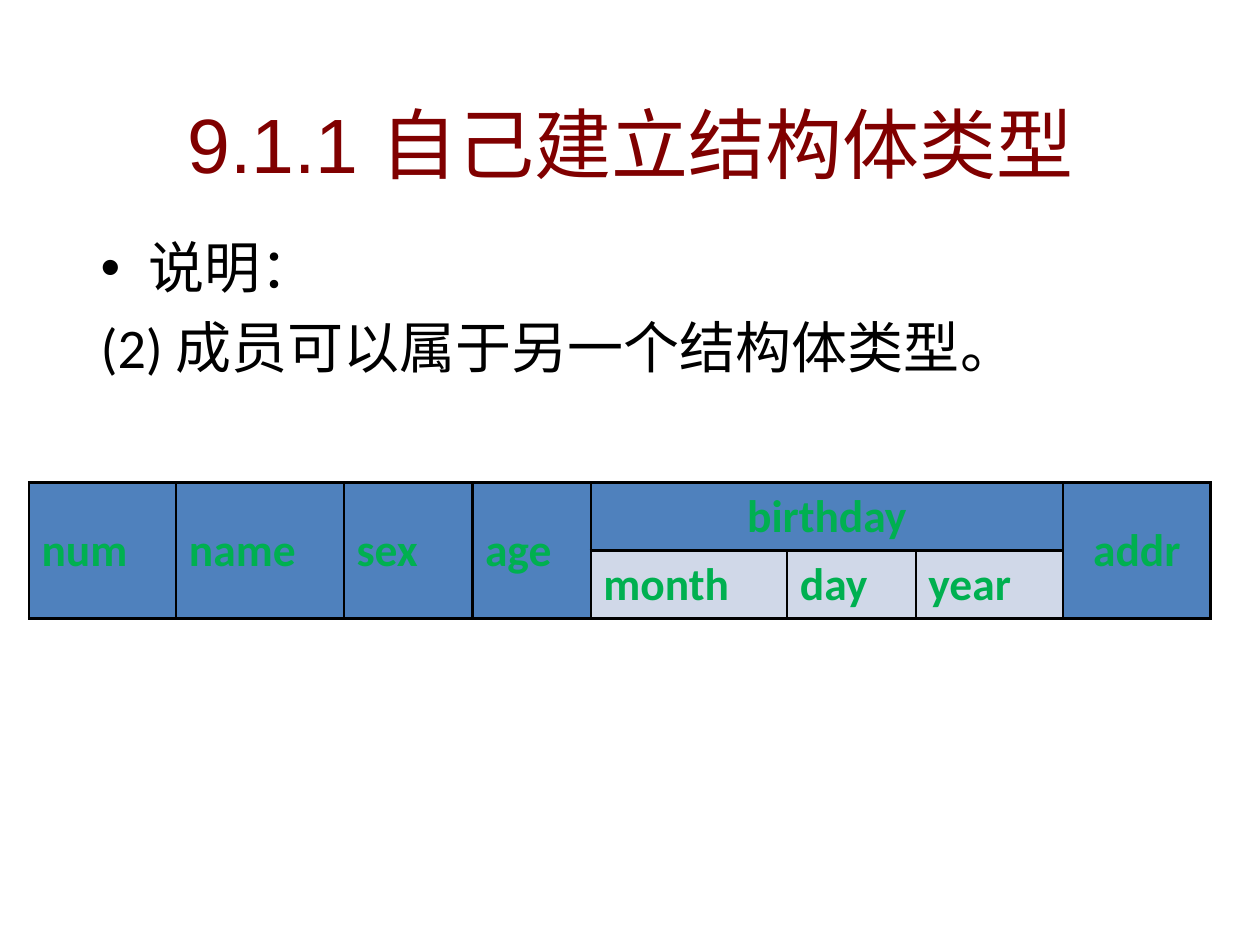
from dataclasses import dataclass

from lxml.etree import SubElement
from pptx import Presentation
from pptx.dml.color import RGBColor
from pptx.enum.text import MSO_ANCHOR, PP_ALIGN
from pptx.oxml.ns import qn
from pptx.table import Table, _Cell
from pptx.text.text import _Paragraph
from pptx.util import Inches, Pt

MAROON = RGBColor(0x80, 0x00, 0x00)
BLACK = RGBColor(0x00, 0x00, 0x00)
GREEN = RGBColor(0x00, 0xB0, 0x50)
BLUE = RGBColor(0x4F, 0x81, 0xBD)
PALE_BLUE = RGBColor(0xD0, 0xD8, 0xE8)

COLUMN_WIDTHS = (1.17, 1.33, 1.02, 0.94, 1.56, 1.02, 1.17, 1.17)
ROW_HEIGHT = 0.54
BORDER_WIDTH = Pt(1.5)


@dataclass(frozen=True)
class Member:
    name: str
    row: int
    column: int
    row_span: int = 1
    column_span: int = 1
    align: PP_ALIGN = PP_ALIGN.LEFT
    fill: RGBColor = BLUE


MEMBERS = (
    *(Member(name, 0, column, row_span=2)
      for column, name in enumerate(("num", "name", "sex", "age"))),
    Member("birthday", 0, 4, column_span=3, align=PP_ALIGN.CENTER),
    *(Member(name, 1, column, fill=PALE_BLUE)
      for column, name in enumerate(("month", "day", "year"), start=4)),
    Member("addr", 0, 7, row_span=2, align=PP_ALIGN.CENTER),
)


def write(paragraph: _Paragraph, text: str, *, size: float, color: RGBColor,
          font: str = "Calibri", bold: bool = False,
          align: PP_ALIGN = PP_ALIGN.LEFT, space_before: float = 0) -> None:
    paragraph.alignment = align
    paragraph.space_before = Pt(space_before)
    run = paragraph.add_run()
    run.text = text
    run.font.name = font
    run.font.size = Pt(size)
    run.font.bold = bold
    run.font.color.rgb = color


def add_text_frame(slide, left: float, top: float, width: float, height: float,
                   anchor: MSO_ANCHOR = MSO_ANCHOR.TOP):
    frame = slide.shapes.add_textbox(
        Inches(left), Inches(top), Inches(width), Inches(height)).text_frame
    frame.word_wrap = True
    frame.vertical_anchor = anchor
    return frame


def set_hanging(paragraph: _Paragraph, bullet: str = "") -> None:
    properties = paragraph._p.get_or_add_pPr()
    properties.set("marL", str(Inches(0.38)))
    properties.set("indent", str(-Inches(0.38)))
    if bullet:
        SubElement(properties, qn("a:buFont"), typeface="Arial")
        SubElement(properties, qn("a:buChar"), char=bullet)
    else:
        SubElement(properties, qn("a:buNone"))


def set_borders(cell: _Cell) -> None:
    properties = cell._tc.get_or_add_tcPr()
    for side in ("a:lnL", "a:lnR", "a:lnT", "a:lnB"):
        line = SubElement(properties, qn(side), w=str(BORDER_WIDTH))
        solid = SubElement(line, qn("a:solidFill"))
        SubElement(solid, qn("a:srgbClr"), val=str(BLACK))


def draw_member(table: Table, member: Member) -> None:
    origin = table.cell(member.row, member.column)
    last_row = member.row + member.row_span - 1
    last_column = member.column + member.column_span - 1
    if member.row_span > 1 or member.column_span > 1:
        origin.merge(table.cell(last_row, last_column))
    for row in range(member.row, last_row + 1):
        for column in range(member.column, last_column + 1):
            cell = table.cell(row, column)
            set_borders(cell)
            cell.fill.solid()
            cell.fill.fore_color.rgb = member.fill
    if member.row_span > 1:
        origin.vertical_anchor = MSO_ANCHOR.MIDDLE
    write(origin.text_frame.paragraphs[0], member.name, size=26,
          color=GREEN, bold=True, align=member.align)


def main() -> None:
    presentation = Presentation()
    presentation.slide_width = Inches(10)
    presentation.slide_height = Inches(7.5)
    slide = presentation.slides.add_slide(presentation.slide_layouts[6])

    title = add_text_frame(slide, 0.16, 0.71, 9.69, 0.84, MSO_ANCHOR.MIDDLE)
    write(title.paragraphs[0], "9.1.1 自己建立结构体类型", size=44,
          color=MAROON, font="Arial", align=PP_ALIGN.CENTER)

    explanation = add_text_frame(slide, 0.7, 1.8, 8.59, 1.64)
    heading = explanation.paragraphs[0]
    set_hanging(heading, "•")
    write(heading, "说明：", size=32, color=BLACK)
    rule = explanation.add_paragraph()
    set_hanging(rule)
    write(rule, "(2) 成员可以属于另一个结构体类型。", size=32, color=BLACK,
          space_before=7)

    structure = slide.shapes.add_table(
        2, len(COLUMN_WIDTHS), Inches(0.23), Inches(3.83),
        Inches(sum(COLUMN_WIDTHS)), Inches(2 * ROW_HEIGHT)).table
    for column, width in zip(structure.columns, COLUMN_WIDTHS):
        column.width = Inches(width)
    for row in structure.rows:
        row.height = Inches(ROW_HEIGHT)
    for member in MEMBERS:
        draw_member(structure, member)

    presentation.save("out.pptx")


if __name__ == "__main__":
    main()
